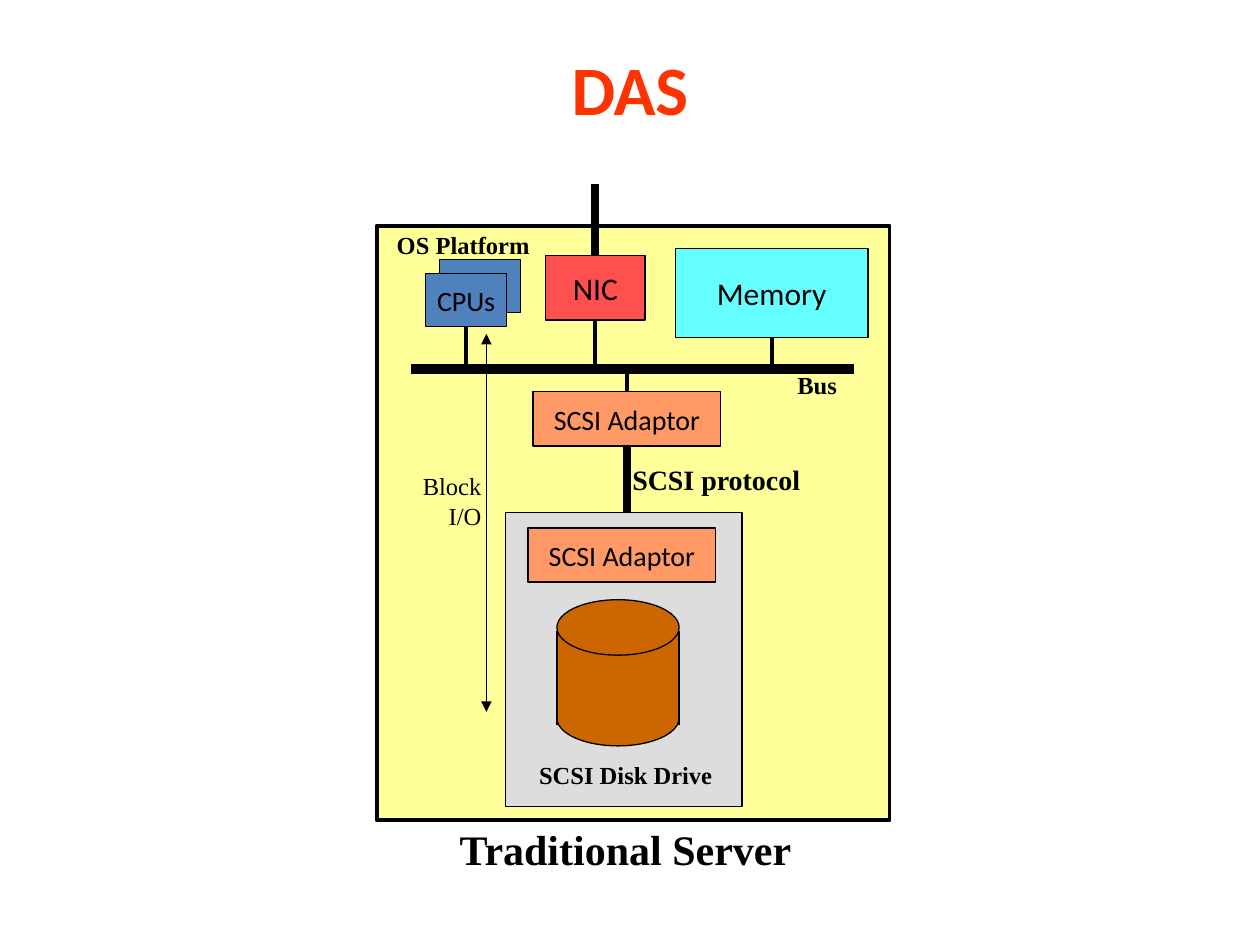
from dataclasses import dataclass

from lxml import etree
from pptx import Presentation
from pptx.dml.color import RGBColor
from pptx.enum.shapes import MSO_CONNECTOR, MSO_SHAPE
from pptx.enum.text import MSO_ANCHOR, MSO_AUTO_SIZE, PP_ALIGN
from pptx.oxml.ns import qn
from pptx.util import Inches, Pt

RECT, OVAL = MSO_SHAPE.RECTANGLE, MSO_SHAPE.OVAL
STRAIGHT = MSO_CONNECTOR.STRAIGHT
MIDDLE, GROW = MSO_ANCHOR.MIDDLE, MSO_AUTO_SIZE.SHAPE_TO_FIT_TEXT
LEFT, CENTER, RIGHT = PP_ALIGN.LEFT, PP_ALIGN.CENTER, PP_ALIGN.RIGHT
TOP_SIDE, BOTTOM_SIDE = 0, 2
SANS, SERIF = "Calibri", "Times New Roman"
SLIDE_WIDTH, SLIDE_HEIGHT = Inches(10), Inches(7.5)
CELL = SLIDE_WIDTH / 100
COLORS = {
    "title": "FF3300", "ink": "000000", "server": "FFFF99", "cpu": "4F81BD",
    "memory": "66FFFF", "nic": "FF5050", "adaptor": "FF9966",
    "drive": "DDDDDD", "disk": "CC6600",
}


@dataclass
class Box:
    """A region measured in grid cells, 100 across the slide."""
    left: float
    top: float
    width: float
    height: float

    def inner(self, column, row, width, height):
        """Return a region offset from this one's corner."""
        return Box(self.left + column, self.top + row, width, height)

    def emu(self):
        """Return left, top, width and height in slide units."""
        return [cells(n) for n in (self.left, self.top, self.width, self.height)]


def cells(count):
    """Convert grid cells to slide units."""
    return round(count * CELL)


def color(name):
    """Look up a colour by its role."""
    return RGBColor.from_string(COLORS[name])


def write(frame, text, size, face, bold=False, align=CENTER, ink="ink"):
    """Fill a text frame with one paragraph per line of text."""
    frame.text = text
    for paragraph in frame.paragraphs:
        paragraph.alignment = align
        font = paragraph.font
        font.size, font.name, font.bold = Pt(size), face, bold
        font.color.rgb = color(ink)


def block(slide, box, fill, text="", size=16, weight=0.75, kind=RECT):
    """Draw a filled shape, outlined when it has a weight."""
    shape = slide.shapes.add_shape(kind, *box.emu())
    shape.shadow.inherit = False
    shape.fill.solid()
    shape.fill.fore_color.rgb = color(fill)
    if weight:
        shape.line.color.rgb = color("ink")
        shape.line.width = Pt(weight)
    else:
        shape.line.fill.background()
    if text:
        shape.text_frame.word_wrap = False
        shape.text_frame.vertical_anchor = MIDDLE
        write(shape.text_frame, text, size, SANS)
    return shape


def label(slide, box, text, size=14, bold=True, align=LEFT):
    """Place an unwrapped serif caption."""
    frame = slide.shapes.add_textbox(*box.emu()).text_frame
    frame.word_wrap = False
    frame.auto_size = GROW
    write(frame, text, size, SERIF, bold, align)


def line(slide, start, end, weight, arrows=False):
    """Draw a straight line between two points in slide units."""
    connector = slide.shapes.add_connector(STRAIGHT, *start, *end)
    connector.line.color.rgb = color("ink")
    connector.line.width = Pt(weight)
    properties = connector._element.spPr
    if arrows:
        for tip in ("a:headEnd", "a:tailEnd"):
            etree.SubElement(properties.find(qn("a:ln")), qn(tip), type="triangle")
    etree.SubElement(properties, qn("a:effectLst"))
    return connector


def link(slide, device, side, row, weight):
    """Run a vertical line from the middle of a device's side to a row."""
    x = device.left + device.width // 2
    y = device.top + (device.height if side == BOTTOM_SIDE else 0)
    line(slide, (x, y), (x, cells(row)), weight).begin_connect(device, side)


def title(slide, box, text):
    """Format and move the title placeholder."""
    heading = slide.shapes.title
    heading.left, heading.top, heading.width, heading.height = box.emu()
    heading.text_frame.vertical_anchor = MIDDLE
    write(heading.text_frame, text, 39.6, SANS, True, ink="title")


def cpus(slide, box):
    """Stack two processors and return the front one."""
    step, width, height = 1.1, box.width - 1.1, box.height - 1.1
    block(slide, box.inner(step, 0, width, height), "cpu")
    return block(slide, box.inner(0, step, width, height), "cpu", "CPUs")


def adaptor(slide, box):
    """Draw a SCSI adaptor."""
    return block(slide, box, "adaptor", "SCSI Adaptor")


def disk(slide, box):
    """Build the disk cylinder from ellipses, a body and side lines."""
    cap = 4.4
    block(slide, box.inner(0, box.height - cap, box.width, cap), "disk", kind=OVAL)
    block(slide, box.inner(0, 2.5, box.width, 6.9), "disk", weight=0)
    block(slide, box.inner(0, 0, box.width, cap), "disk", kind=OVAL)
    for x in (box.left, box.left + box.width):
        line(slide, (cells(x), cells(box.top + 2.5)),
             (cells(x), cells(box.top + 9.9)), 0.75)


def drive(slide, box):
    """Draw the disk drive with its adaptor and disk."""
    block(slide, box, "drive")
    adaptor(slide, box.inner(1.8, 1.2, 14.9, 4.3))
    disk(slide, box.inner(4.1, 6.9, 9.7, 11.6))
    label(slide, box.inner(1.7, 19.1, 16.2, 3.3), "SCSI Disk Drive")


def block_io(slide, box):
    """Draw the two-way block transfer arrow and its caption."""
    x = cells(box.left + box.width)
    line(slide, (x, cells(box.top)), (x, cells(box.top + box.height)), 0.75, True)
    label(slide, box.inner(0, 10.4, 6.7, 5.7), "Block\nI/O", bold=False, align=RIGHT)


def server(slide, box):
    """Draw the server, its devices, bus and storage path."""
    block(slide, box, "server", weight=2.25)
    bus = box.top + 11.4
    processor = cpus(slide, box.inner(3.9, 2.7, 7.5, 5.3))
    network = block(slide, box.inner(13.4, 2.4, 7.9, 5.1), "nic", "NIC", 18)
    memory = block(slide, box.inner(23.7, 1.8, 15.3, 7.1), "memory", "Memory", 18)
    for device in (processor, network, memory):
        link(slide, device, BOTTOM_SIDE, bus, 2.25)
    link(slide, network, TOP_SIDE, box.top - 3.3, 4.5)
    line(slide, (cells(box.left + 2.7), cells(bus)),
         (cells(box.left + 37.9), cells(bus)), 6)
    host_adaptor = adaptor(slide, box.inner(12.4, 13.2, 14.9, 4.3))
    link(slide, host_adaptor, TOP_SIDE, bus, 2.25)
    link(slide, host_adaptor, BOTTOM_SIDE, box.top + 22.7, 4.5)
    drive(slide, box.inner(10.2, 22.8, 18.8, 23.3))
    label(slide, box.inner(32.4, 11, 5.2, 3.3), "Bus")
    label(slide, box.inner(19.3, 18.3, 15.4, 3.7), "SCSI protocol", 16)
    label(slide, box.inner(0.6, -0.1, 13.2, 3.3), "OS Platform")
    label(slide, box.inner(5.6, 47, 28.6, 5), "Traditional Server", 24)
    block_io(slide, box.inner(2.6, 8.6, 6.1, 30))


def main():
    """Build and save the slide."""
    deck = Presentation()
    deck.slide_width, deck.slide_height = SLIDE_WIDTH, SLIDE_HEIGHT
    slide = deck.slides.add_slide(deck.slide_layouts[5])
    title(slide, Box(7.5, 4.2, 85, 5.5), "DAS")
    server(slide, Box(29.9, 17.9, 40.7, 47.2))
    deck.save("out.pptx")


if __name__ == "__main__":
    main()
